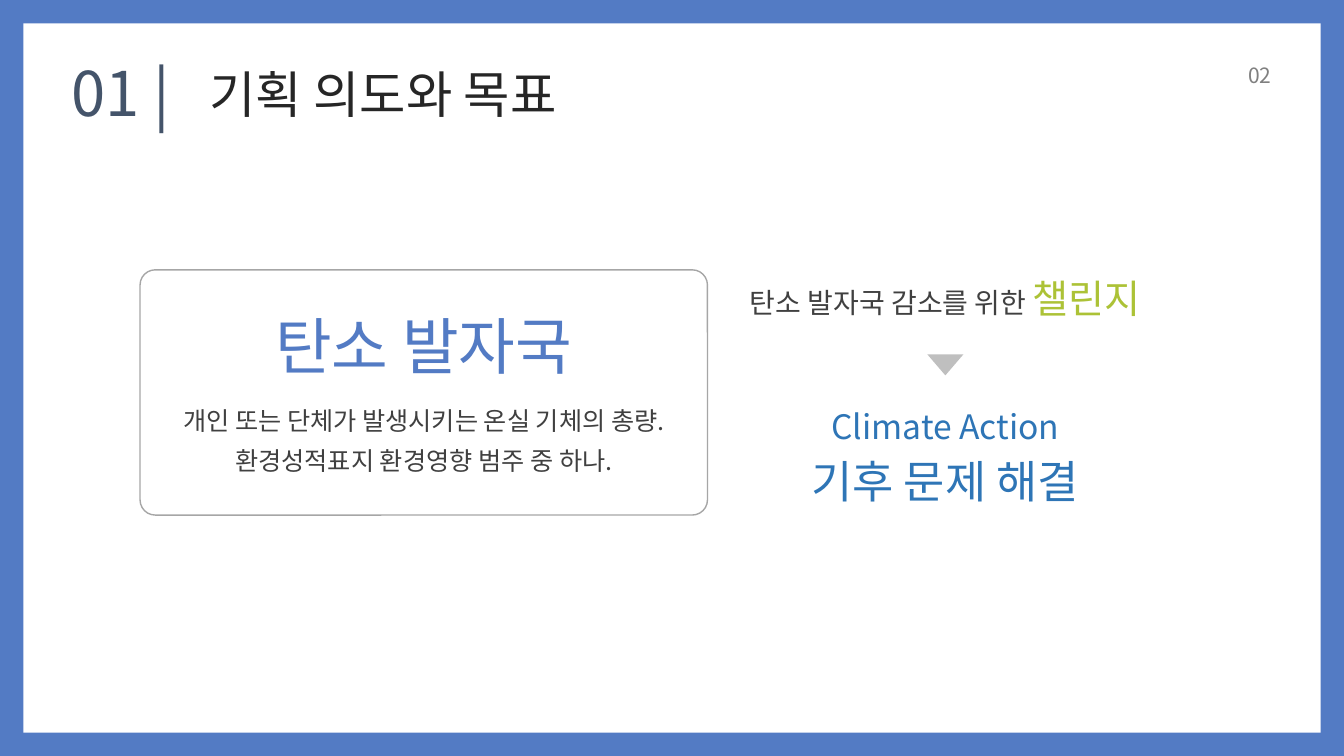
from lxml import etree
from pptx import Presentation
from pptx.dml.color import RGBColor
from pptx.enum.shapes import MSO_SHAPE
from pptx.enum.text import MSO_ANCHOR, MSO_AUTO_SIZE, PP_ALIGN
from pptx.oxml.ns import qn
from pptx.util import Cm, Pt

RECTANGLE = MSO_SHAPE.RECTANGLE
ROUNDED = MSO_SHAPE.ROUNDED_RECTANGLE
TRIANGLE = MSO_SHAPE.FLOWCHART_MERGE
LEFT, CENTER = PP_ALIGN.LEFT, PP_ALIGN.CENTER
TOP, MIDDLE = MSO_ANCHOR.TOP, MSO_ANCHOR.MIDDLE
GROW = MSO_AUTO_SIZE.SHAPE_TO_FIT_TEXT

FONT = "Noto Sans CJK KR"
COLORS = {
    "frame": "537BC4", "paper": "FFFFFF", "body": "404040", "border": "A6A6A6",
    "challenge": "ACC236", "action": "2E75B6", "arrow": "BFBFBF",
    "number": "44546A", "heading": "262626", "page": "808080",
}
WIDTH, HEIGHT, MARGIN = 33.87, 19.05, 0.59


def color(name):
    """Return the named colour."""
    return RGBColor.from_string(COLORS[name])


def centered(box, top, width, height):
    """Return a box centred across the given one, at an offset from its top."""
    return box[0] + (box[2] - width) / 2, box[1] + top, width, height


def add_text(slide, box, runs, align=CENTER, anchor=TOP):
    """Add one paragraph of (text, size, colour) runs."""
    text_frame = slide.shapes.add_textbox(*map(Cm, box)).text_frame
    text_frame.word_wrap = True
    text_frame.auto_size = GROW
    text_frame.vertical_anchor = anchor
    paragraph = text_frame.paragraphs[0]
    paragraph.alignment = align
    for text, size, name in runs:
        run = paragraph.add_run()
        run.text = text
        run.font.size = Pt(size)
        run.font.color.rgb = color(name)
        run.font.name = FONT
        etree.SubElement(run.font._element, qn("a:ea"), typeface=FONT)


def add_shape(slide, kind, box, fill=None, line=None):
    """Add a preset shape with an optional fill and outline."""
    shape = slide.shapes.add_shape(kind, *map(Cm, box))
    shape.shadow.inherit = False
    if fill:
        shape.fill.solid()
        shape.fill.fore_color.rgb = color(fill)
    else:
        shape.fill.background()
    if line:
        shape.line.color.rgb = color(line)
        shape.line.width = Pt(1)
    else:
        shape.line.fill.background()
    return shape


def add_frame(slide, box):
    """Colour the background and lay the white page inside it."""
    slide.background.fill.solid()
    slide.background.fill.fore_color.rgb = color("frame")
    add_shape(slide, RECTANGLE, box, fill="paper")


def add_definition(slide, box):
    """Add the outlined card that defines the term."""
    add_text(slide, centered(box, 0.84, 9.47, 2.13), [("탄소 발자국", 44, "frame")])
    sentences = ("개인 또는 단체가 발생시키는 온실 기체의 총량.",
                 "환경성적표지 환경영향 범주 중 하나.")
    for row, sentence in enumerate(sentences):
        add_text(slide, centered(box, 3.28 + row * 1.02, 15.34, 1.02),
                 [(sentence, 18, "body")])
    card = add_shape(slide, ROUNDED, box, line="border")
    card.adjustments[0] = 0.062


def add_goal(slide, box):
    """Add the challenge, the arrow and the goal it leads to."""
    add_text(slide, centered(box, 0, box[2], 1.45),
             [("탄소 발자국 감소를 위한 ", 20, "body"), ("챌린지", 28, "challenge")])
    add_text(slide, centered(box, 4.52, 11.81, 1.63), [("기후 문제 해결", 32, "action")])
    add_text(slide, centered(box, 3.3, 9.27, 1.27), [("Climate Action", 24, "action")])
    add_shape(slide, TRIANGLE, centered(box, 2.13, 0.91, 0.53), fill="arrow")


def add_header(slide, box):
    """Add the section number, the heading and the page number."""
    left, top, width, height = box
    add_text(slide, (left, top, 3.66, height), [("01 | ", 44, "number")], LEFT, MIDDLE)
    add_text(slide, (left + 3.48, top + 0.2, 9.53, 1.8),
             [("기획 의도와 목표", 36, "heading")], LEFT, MIDDLE)
    add_text(slide, (left + width - 1.78, top + 0.2, 1.78, 0.89), [("02", 15, "page")])


def main():
    """Build and save the slide."""
    presentation = Presentation()
    presentation.slide_width, presentation.slide_height = Cm(WIDTH), Cm(HEIGHT)
    slide = presentation.slides.add_slide(presentation.slide_layouts[6])
    add_frame(slide, (MARGIN, MARGIN, WIDTH - 2 * MARGIN, HEIGHT - 2 * MARGIN))
    add_definition(slide, (3.53, 6.8, 14.3, 6.18))
    add_goal(slide, (16.79, 6.8, 14.07, 6.18))
    add_header(slide, (1.55, 1.25, 31.09, 2.13))
    presentation.save("out.pptx")


main()
